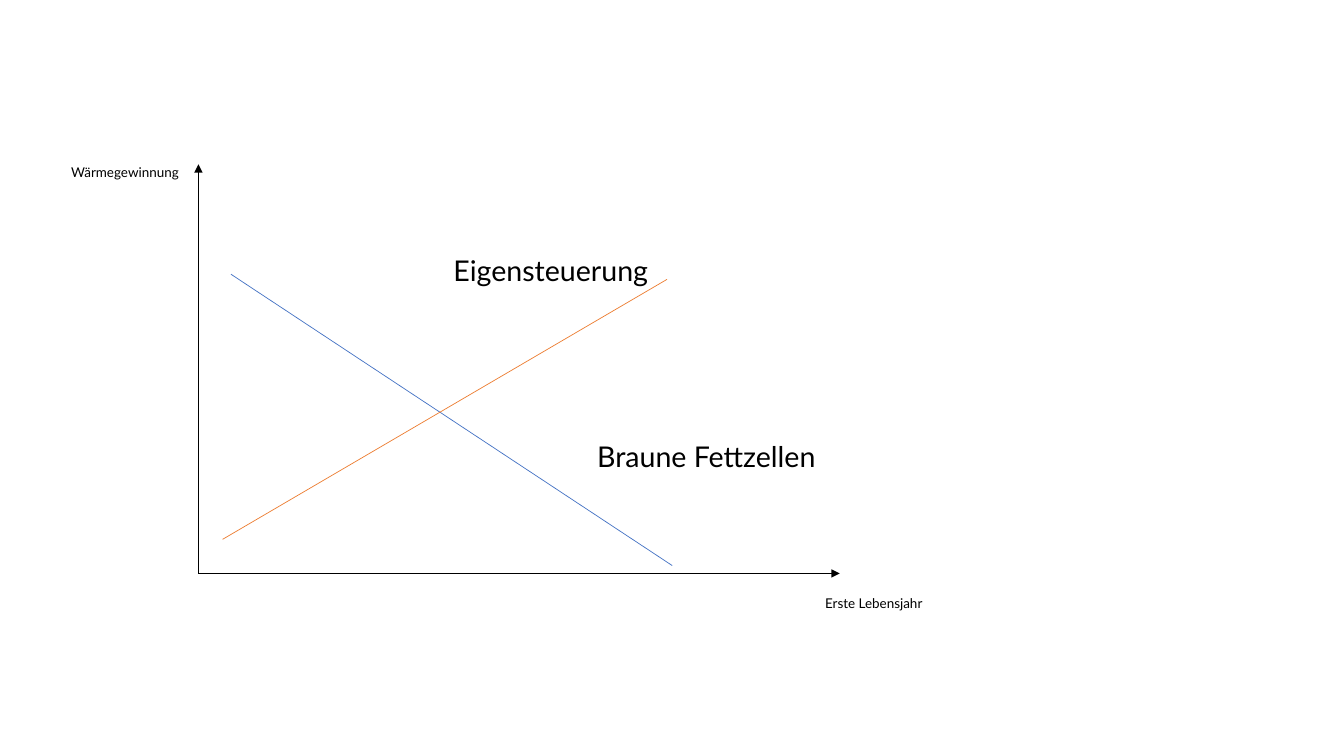
from lxml.etree import SubElement
from pptx import Presentation
from pptx.dml.color import RGBColor
from pptx.enum.shapes import MSO_CONNECTOR
from pptx.enum.text import MSO_ANCHOR, PP_ALIGN
from pptx.oxml.ns import qn
from pptx.util import Cm, Pt

FONT = "Lato"
BLACK, BLUE, ORANGE = "000000", "4472C4", "ED7D31"


def rgb(value):
    """Turn a hex string into a colour."""
    return RGBColor.from_string(value)


def add_text(s, text, x, y, w, h, size=9.6, color=BLACK, align=PP_ALIGN.CENTER):
    """Add a one-line label, centred vertically in its box (lengths in cm)."""
    sp = s.shapes.add_textbox(Cm(x), Cm(y), Cm(w), Cm(h))
    tf = sp.text_frame
    tf.word_wrap = True
    tf.vertical_anchor = MSO_ANCHOR.MIDDLE
    tf.margin_left = tf.margin_right = tf.margin_top = tf.margin_bottom = 0
    p = tf.paragraphs[0]
    p.alignment = align
    p.line_spacing = 0.7
    r = p.add_run()
    r.text = text
    r.font.name = FONT
    r.font.size = Pt(size)
    r.font.color.rgb = rgb(color)
    return sp


def add_line(s, x1, y1, x2, y2, color=BLACK, arrow=False):
    """Add a thin straight line (lengths in cm), with an arrowhead if asked."""
    sp = s.shapes.add_connector(MSO_CONNECTOR.STRAIGHT, Cm(x1), Cm(y1), Cm(x2), Cm(y2))
    sp.line.width = Pt(0.5)
    sp.line.color.rgb = rgb(color)
    if arrow:
        SubElement(sp.line._get_or_add_ln(), qn("a:tailEnd"), type="triangle")
    SubElement(sp._element.spPr, qn("a:effectLst"))
    return sp


def add_axes(s, x, y, w, h):
    """Draw both axes from the lower left corner of the box and name them."""
    bottom = y + h
    add_line(s, x, bottom, x, y, arrow=True)
    add_line(s, x, bottom, x + w, bottom, arrow=True)
    label_w, label_h = 5.38, 0.56
    add_text(s, "Wärmegewinnung", x - 4.54, y - 0.03, label_w, label_h)
    add_text(s, "Erste Lebensjahr", x + w - 1.83, bottom + 0.51, label_w, label_h)


def add_trends(s, x, y):
    """Draw the falling and rising trend lines with their labels."""
    trends = [
        ("Braune Fettzellen", BLUE, (0.82, 2.77), (11.94, 10.11), (9.0, 7.01)),
        ("Eigensteuerung", ORANGE, (0.61, 9.45), (11.81, 2.9), (5.08, 2.34)),
    ]
    for name, color, (x1, y1), (x2, y2), (label_x, label_y) in trends:
        add_line(s, x + x1, y + y1, x + x2, y + y2, color=color)
        add_text(s, name, x + label_x, y + label_y, 7.6, 0.88, size=20.4)


def add_diagram(s, x, y, w, h):
    """Build the heat production diagram in the given box."""
    add_axes(s, x, y, w, h)
    add_trends(s, x, y)


prs = Presentation()
prs.slide_width, prs.slide_height = Cm(33.87), Cm(19.05)
s = prs.slides.add_slide(prs.slide_layouts[6])
add_diagram(s, 5, 4.14, 16.16, 10.31)
prs.save("out.pptx")
